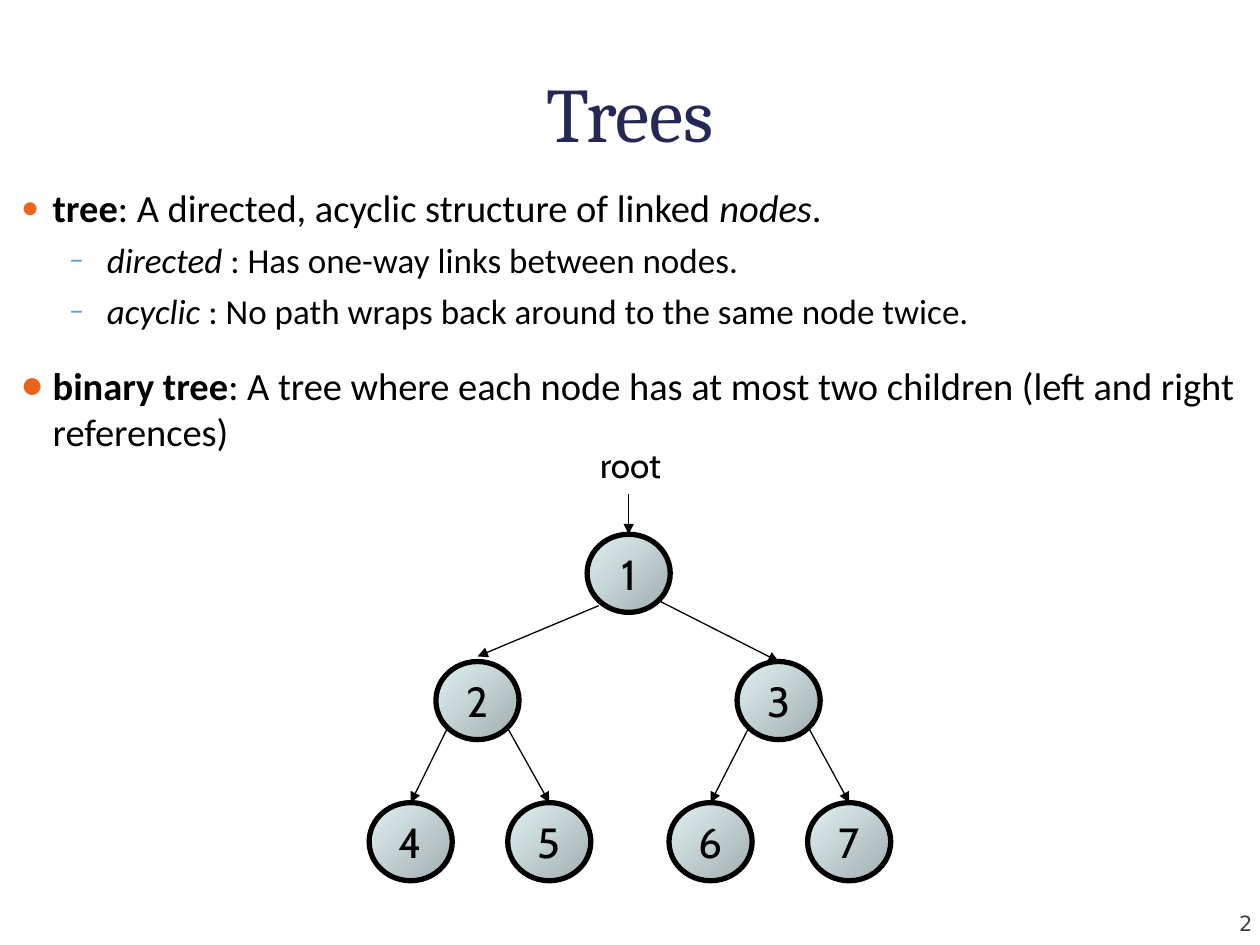
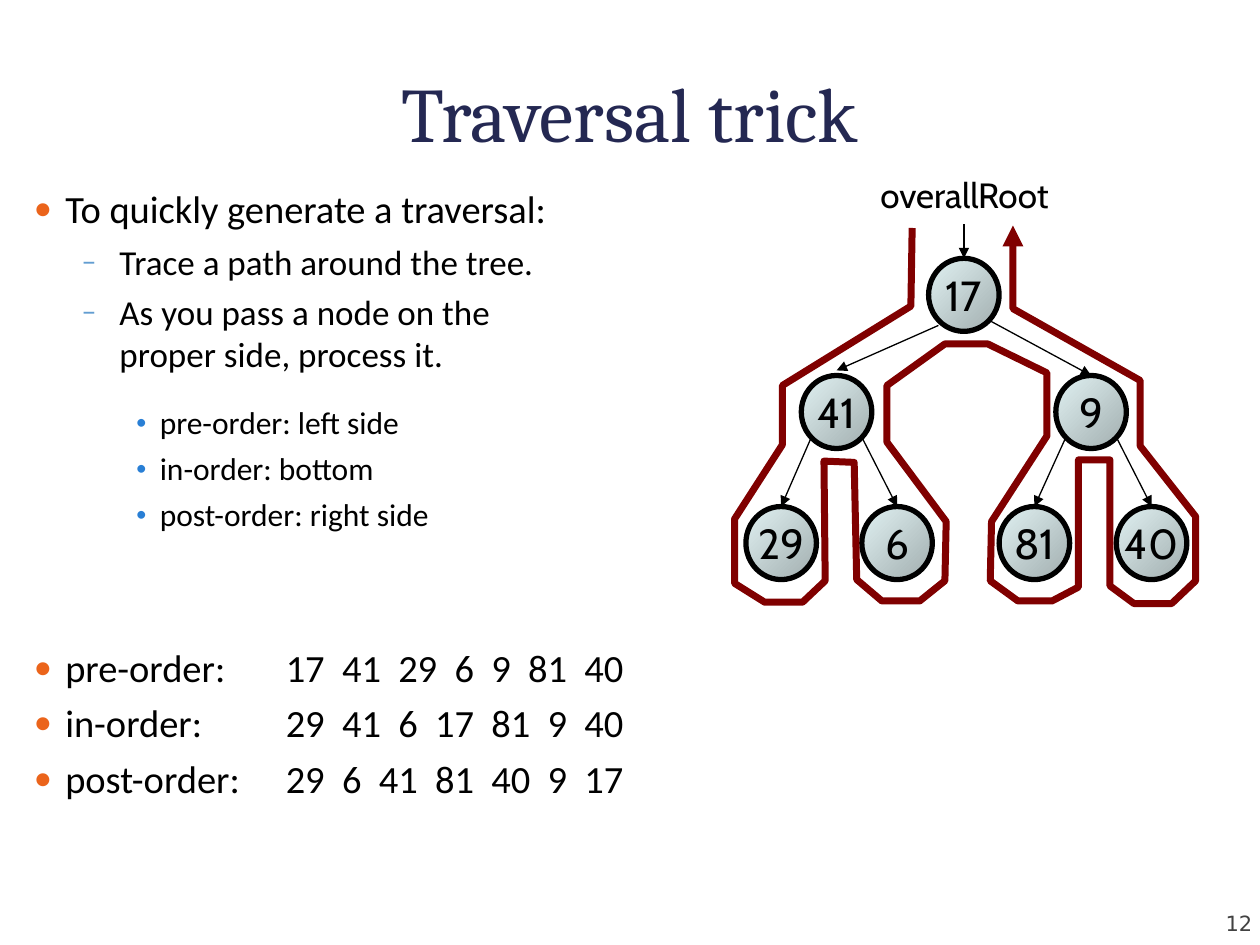
from dataclasses import dataclass

from pptx import Presentation
from pptx.dml.color import RGBColor
from pptx.enum.shapes import MSO_CONNECTOR as Line, MSO_SHAPE as Shape
from pptx.enum.text import MSO_ANCHOR as Anchor, MSO_AUTO_SIZE as Fit, PP_ALIGN as Align
from pptx.oxml.ns import qn
from pptx.util import Inches, Pt
from lxml.etree import SubElement

BLACK = RGBColor(0x00, 0x00, 0x00)
NAVY = RGBColor(0x24, 0x28, 0x52)
GREY = RGBColor(0x42, 0x42, 0x42)
ORANGE = RGBColor(0xEB, 0x64, 0x1B)
SKY = RGBColor(0x62, 0x9D, 0xD1)
BLUE = RGBColor(0x29, 0x7F, 0xD5)
DARK = RGBColor(0xA1, 0xAD, 0xAE)
LIGHT = RGBColor(0xE1, 0xF2, 0xF3)
MAROON = RGBColor(0x80, 0x00, 0x00)

TITLE, BODY, NODE, NUMBER = "Cambria", "Calibri", "Cabin", "DejaVu Sans"


@dataclass(frozen=True)
class Level:
    left: float
    hang: float
    size: int
    before: float
    mark: str
    color: RGBColor
    scale: int


LEVELS = (
    Level(0.25, 0.25, 22, 5.5, "•", ORANGE, 95),
    Level(0.68, 0.3, 20, 5, "–", SKY, 85),
    Level(1, 0.19, 18, 4.5, "•", BLUE, 70),
)


@dataclass(frozen=True)
class Run:
    text: str
    bold: bool = False
    italic: bool = False


@dataclass(frozen=True)
class Item:
    level: int
    runs: tuple[Run, ...]
    gap: float = 0  # extra space before, in points
    mark: str = ""


@dataclass(frozen=True)
class Tree:
    """A full binary tree, listed row by row."""
    keys: tuple[int, ...]
    mids: tuple[float, ...]
    tops: tuple[float, ...]
    wide: float
    high: float
    label: str
    box: tuple[float, float, float]  # left, top and width of the label


# Shared helpers

def write(para, run: Run, font: str, size: int, color: RGBColor = BLACK) -> None:
    for n, line in enumerate(run.text.split("\n")):
        if n:
            para.add_line_break()
        part = para.add_run()
        part.text = line
        face = part.font
        face.name, face.size = font, Pt(size)
        face.bold, face.italic = run.bold, run.italic
        face.color.rgb = color


def add_box(slide, left: float, top: float, wide: float, high: float, wrap: bool = True):
    frame = slide.shapes.add_textbox(
        Inches(left), Inches(top), Inches(wide), Inches(high)).text_frame
    frame.word_wrap = wrap
    return frame


def pad(frame, top: float = 0) -> None:
    frame.margin_left = frame.margin_right = frame.margin_bottom = 0
    frame.margin_top = Inches(top)


def stroke(shape, color: RGBColor, width: float) -> None:
    shape.line.color.rgb = color
    shape.line.width = Pt(width)


def point(shape) -> None:
    """Round the joins and end the line in an arrowhead."""
    line = shape.line._get_or_add_ln()
    SubElement(line, qn("a:round"))
    SubElement(line, qn("a:tailEnd")).set("type", "triangle")


def add_slide(deck, title: str, number: int):
    slide = deck.slides.add_slide(deck.slide_layouts[5])
    head = slide.shapes.title
    head.left, head.top = Inches(0.5), Inches(0)
    head.width, head.height = Inches(9), Inches(1.25)
    frame = head.text_frame
    frame.auto_size, frame.vertical_anchor = Fit.NONE, Anchor.BOTTOM
    pad(frame, 0.05)
    para = frame.paragraphs[0]
    para.alignment = Align.CENTER
    write(para, Run(title), TITLE, 44, NAVY)

    foot = add_box(slide, 9.11, 7.03, 0.83, 0.4)
    foot.vertical_anchor = Anchor.BOTTOM
    pad(foot)
    foot.paragraphs[0].alignment = Align.RIGHT
    write(foot.paragraphs[0], Run(str(number)), NUMBER, 12, GREY)
    return slide


# Bulleted text

def add_list(slide, left: float, top: float, items: tuple[Item, ...]) -> None:
    frame = add_box(slide, left, top, 9.83, 5.67)
    for n, item in enumerate(items):
        para = frame.add_paragraph() if n else frame.paragraphs[0]
        level = LEVELS[item.level]
        para.level = item.level
        para.space_before = Pt(level.before + item.gap)
        props = para._p.get_or_add_pPr()
        props.set("marL", str(Inches(level.left)))
        props.set("indent", str(-Inches(level.hang)))
        tint = SubElement(props, qn("a:buClr"))
        SubElement(tint, qn("a:srgbClr")).set("val", str(level.color))
        SubElement(props, qn("a:buSzPct")).set("val", str(level.scale * 1000))
        SubElement(props, qn("a:buFont")).set("typeface", BODY)
        SubElement(props, qn("a:buChar")).set("char", item.mark or level.mark)
        tab = SubElement(SubElement(props, qn("a:tabLst")), qn("a:tab"))
        tab.set("pos", str(Inches(2)))
        tab.set("algn", "l")
        for run in item.runs:
            write(para, run, BODY, level.size)


# Tree diagram

def add_node(slide, key: int, mid: float, top: float, wide: float, high: float) -> None:
    node = slide.shapes.add_shape(
        Shape.OVAL, Inches(mid - wide / 2), Inches(top), Inches(wide), Inches(high))
    node.shadow.inherit = False
    node.fill.gradient()
    node.fill.gradient_angle = 135
    for stop, color in zip(node.fill.gradient_stops, (DARK, LIGHT)):
        stop.color.rgb = color
    stroke(node, BLACK, 3)
    frame = node.text_frame
    frame.word_wrap, frame.vertical_anchor = False, Anchor.MIDDLE
    frame.paragraphs[0].alignment = Align.CENTER
    write(frame.paragraphs[0], Run(str(key)), NODE, 24)


def add_arrow(slide, x: float, y: float, to_x: float, to_y: float) -> None:
    arrow = slide.shapes.add_connector(
        Line.STRAIGHT, Inches(x), Inches(y), Inches(to_x), Inches(to_y))
    stroke(arrow, BLACK, 0.75)
    point(arrow)
    SubElement(arrow._element.spPr, qn("a:effectLst"))


def add_tree(slide, tree: Tree) -> None:
    # Row 0 holds one node, row 1 two, row 2 four
    tops = [top for row, top in enumerate(tree.tops) for _ in range(2 ** row)]
    for key, mid, top in zip(tree.keys, tree.mids, tops):
        add_node(slide, key, mid, top, tree.wide, tree.high)
    for child in range(1, len(tree.keys)):
        up = (child - 1) // 2
        side = -1 if child % 2 else 1
        nudge = 0.04 if child == 1 else 0
        add_arrow(slide, tree.mids[up] + side * 0.36 * tree.wide,
                  tops[up] + 0.85 * tree.high + nudge,
                  tree.mids[child], tops[child] - nudge)

    left, top, wide = tree.box
    frame = add_box(slide, left, top, wide, 0.44, wrap=False)
    frame.paragraphs[0].alignment = Align.CENTER
    write(frame.paragraphs[0], Run(tree.label), NODE, 20)
    add_arrow(slide, tree.mids[0], top + 0.45, tree.mids[0], tops[0])


def add_trace(slide, spots: tuple[tuple[float, float], ...]) -> None:
    first, *rest = [(Inches(x), Inches(y)) for x, y in spots]
    pen = slide.shapes.build_freeform(*first)
    pen.add_line_segments(rest, close=False)
    trace = pen.convert_to_shape()
    trace.shadow.inherit = False
    trace.fill.background()
    stroke(trace, MAROON, 4)
    point(trace)


# Content

TREE_TEXT = (
    Item(0, (Run("tree", bold=True), Run(": A directed, acyclic structure of linked "),
             Run("nodes", italic=True), Run("."))),
    Item(1, (Run("directed", italic=True), Run(" : Has one-way links between nodes."))),
    Item(1, (Run("acyclic", italic=True),
             Run(" : No path wraps back around to the same node twice."))),
    Item(0, (Run("binary tree", bold=True),
             Run(": A tree where each node has at most two children "
                 "(left and right references)")), gap=11.8, mark="●"),
)
TRICK_TEXT = (
    Item(0, (Run("To quickly generate a traversal:"),)),
    Item(1, (Run("Trace a path around the tree."),)),
    Item(1, (Run("As you pass a node on the\nproper side, process it."),)),
    Item(2, (Run("pre-order: left side"),), gap=11.8),
    Item(2, (Run("in-order: bottom"),)),
    Item(2, (Run("post-order: right side"),)),
    Item(0, (Run("pre-order:\t17  41  29  6  9  81  40"),), gap=58),
    Item(0, (Run("in-order:\t29  41  6  17  81  9  40"),)),
    Item(0, (Run("post-order:\t29  6  41  81  40  9  17"),)),
)
BINARY = Tree((1, 2, 3, 4, 5, 6, 7), (4.99, 3.79, 6.18, 3.26, 4.36, 5.64, 6.74),
              (4.24, 5.25, 6.37), 0.66, 0.62, "root", (4.63, 3.47, 0.75))
WALK = Tree((17, 41, 9, 29, 6, 81, 40), (7.65, 6.64, 8.66, 6.2, 7.12, 8.21, 9.14),
            (2.05, 2.98, 4.02), 0.56, 0.58, "overallRoot", (6.81, 1.33, 1.69))
TRACE = (
    # Down the left side and round 29 and 6
    (7.24, 1.81), (7.23, 2.43), (6.21, 3.06), (6.21, 3.53), (5.83, 4.12), (5.83, 4.63),
    (6.07, 4.78), (6.37, 4.78), (6.55, 4.61), (6.54, 3.66), (6.78, 3.67), (6.8, 4.6),
    (7, 4.77), (7.3, 4.77), (7.5, 4.61), (7.51, 4.14), (7.04, 3.51), (7.04, 3.06),
    # Under the root, round 81 and 40, and back up
    (7.5, 2.73), (7.84, 2.73), (8.31, 2.96), (8.31, 3.46), (7.87, 4.14), (7.86, 4.61),
    (8.08, 4.77), (8.35, 4.77), (8.56, 4.66), (8.56, 3.65), (8.81, 3.65), (8.81, 4.65),
    (9, 4.79), (9.3, 4.79), (9.49, 4.61), (9.49, 4.1), (9.05, 3.54), (9.05, 3.02),
    (8.04, 2.45), (8.04, 1.79),
)


def main() -> None:
    deck = Presentation()
    deck.slide_width, deck.slide_height = Inches(10), Inches(7.5)

    slide = add_slide(deck, "Trees", 2)
    add_list(slide, 0.07, 1.41, TREE_TEXT)
    add_tree(slide, BINARY)

    slide = add_slide(deck, "Traversal trick", 12)
    add_list(slide, 0.17, 1.42, TRICK_TEXT)
    add_tree(slide, WALK)
    add_trace(slide, TRACE)

    deck.save("out.pptx")


if __name__ == "__main__":
    main()
